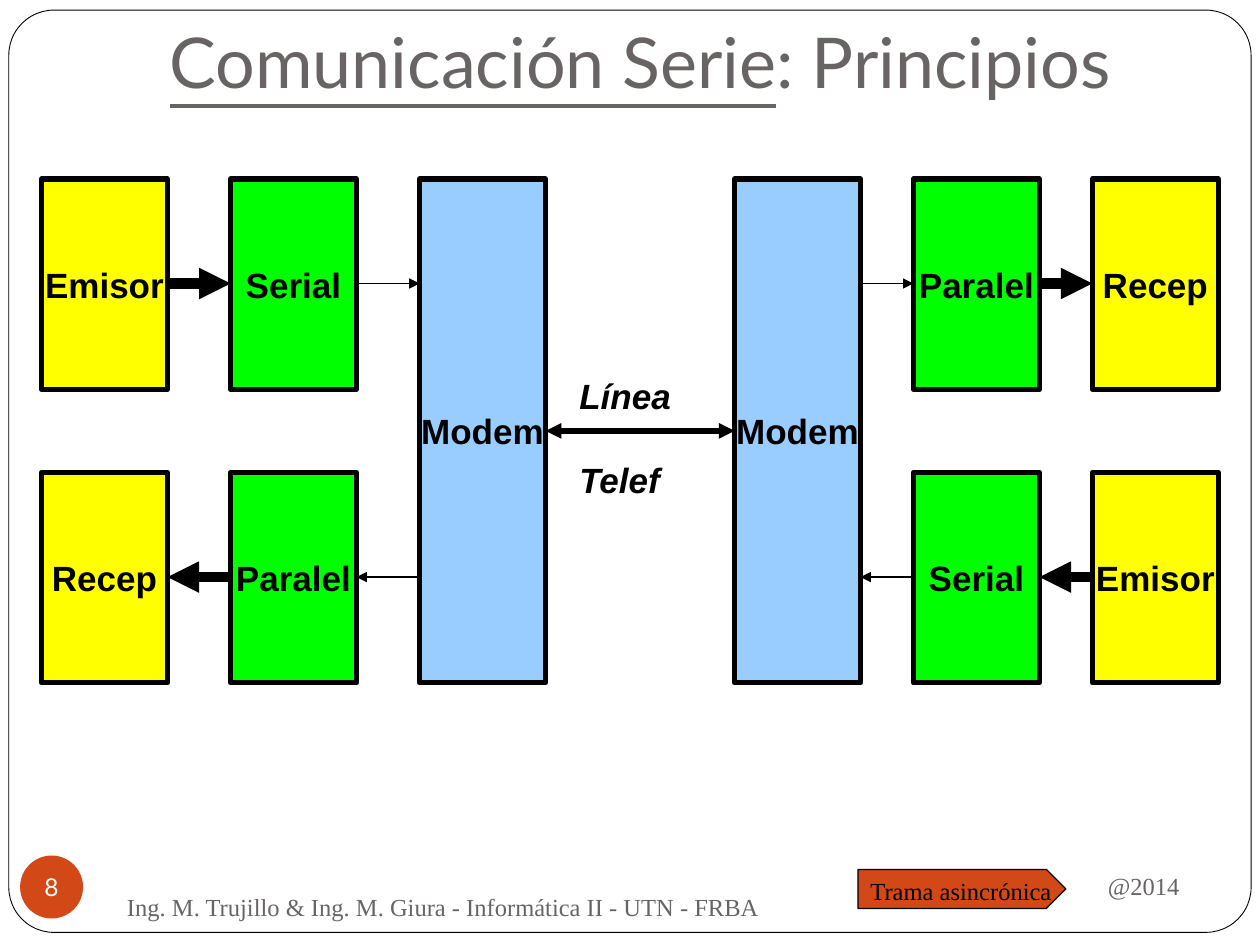
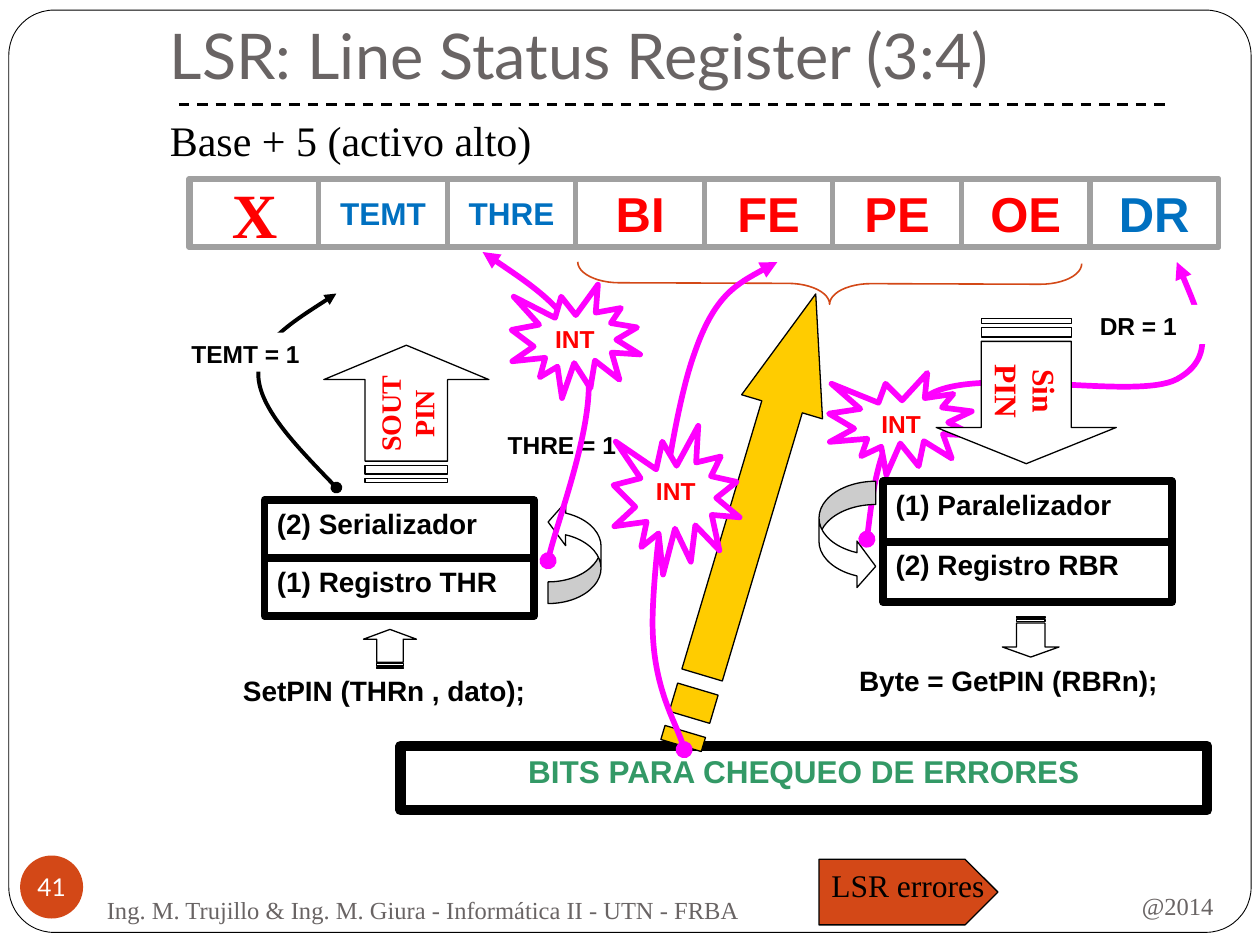
from dataclasses import dataclass
from typing import NamedTuple, Optional

from lxml import etree
from pptx import Presentation
from pptx.dml.color import RGBColor
from pptx.enum import dml, shapes, text
from pptx.oxml.ns import qn
from pptx.util import Inches, Pt

# Shared colours and fonts
BLACK = RGBColor(0x00, 0x00, 0x00)
WHITE = RGBColor(0xFF, 0xFF, 0xFF)
GREY = RGBColor(0x69, 0x64, 0x64)
FRAME_GREY = RGBColor(0xA0, 0xA0, 0xA0)
RUST = RGBColor(0xD3, 0x48, 0x17)
YELLOW = RGBColor(0xFF, 0xFF, 0x00)
GREEN = RGBColor(0x00, 0xFF, 0x00)
SKY = RGBColor(0x99, 0xCC, 0xFF)
RED = RGBColor(0xFF, 0x00, 0x00)
BLUE = RGBColor(0x00, 0x70, 0xC0)
MAGENTA = RGBColor(0xFF, 0x00, 0xFF)
GOLD = RGBColor(0xFF, 0xCC, 0x00)
TEAL = RGBColor(0x33, 0x99, 0x66)
SERIF, SANS, TITLE = "Times New Roman", "Arial", "Lato"

SHAPE = shapes.MSO_SHAPE
LEFT, CENTER, RIGHT = (text.PP_ALIGN.LEFT, text.PP_ALIGN.CENTER,
                       text.PP_ALIGN.RIGHT)
TOP, MIDDLE, BOTTOM = (text.MSO_ANCHOR.TOP, text.MSO_ANCHOR.MIDDLE,
                       text.MSO_ANCHOR.BOTTOM)


class Box(NamedTuple):
    x: float
    y: float
    w: float
    h: float

    def emu(self):
        return [Inches(v) for v in self]


@dataclass
class Look:
    """Text format: font, colour and placement."""
    size: float
    name: str = SANS
    color: RGBColor = BLACK
    bold: bool = False
    italic: bool = False
    align: int = LEFT
    anchor: int = TOP
    wrap: bool = True
    insets: tuple = (0.1, 0.05, 0.1, 0.05)
    gap: float = 0


class Paint(NamedTuple):
    fill: Optional[RGBColor] = None
    line: Optional[RGBColor] = None
    width: float = 0.75


def style_run(r, look: Look, **extra):
    fmt = {"size": Pt(look.size), "name": look.name, "bold": look.bold,
           "italic": look.italic, **extra}
    for key, value in fmt.items():
        setattr(r.font, key, value)
    r.font.color.rgb = look.color


def write(sp, lines, look: Look):
    tf = sp.text_frame
    sides = ("left", "top", "right", "bottom")
    fmt = {f"margin_{k}": Inches(v) for k, v in zip(sides, look.insets)}
    fmt |= {"word_wrap": look.wrap, "vertical_anchor": look.anchor}
    for key, value in fmt.items():
        setattr(tf, key, value)
    for i, line in enumerate(lines):
        p = tf.add_paragraph() if i else tf.paragraphs[0]
        p.alignment = look.align
        if i and look.gap:
            p.space_before = Pt(look.gap)
        r = p.add_run()
        r.text = line
        style_run(r, look)


def paint(sp, style: Paint):
    sp.shadow.inherit = False
    if style.fill is None:
        sp.fill.background()
    else:
        sp.fill.solid()
        sp.fill.fore_color.rgb = style.fill
    if style.line is None:
        sp.line.fill.background()
    else:
        sp.line.color.rgb = style.line
        sp.line.width = Pt(style.width)


def add_text(s, box: Box, look: Look, *lines: str):
    sp = s.shapes.add_textbox(*box.emu())
    write(sp, lines, look)
    return sp


def add_preset(s, kind, box: Box, style: Paint, look: Optional[Look] = None,
               *lines: str, adj=(), rotation=0.0):
    sp = s.shapes.add_shape(kind, *box.emu())
    paint(sp, style)
    sp.rotation = rotation
    for i, value in enumerate(adj):
        sp.adjustments[i] = value
    if look:
        write(sp, lines, look)
    return sp


def add_ends(sp, head=None, tail=None):
    ln = sp._element.spPr.find(qn("a:ln"))
    for tag, kind in (("a:headEnd", head), ("a:tailEnd", tail)):
        if kind:
            etree.SubElement(ln, qn(tag)).set("type", kind)


def add_line(s, x1: float, x2: float, y: float, width: float, head=None,
             tail=None, dash=None):
    sp = s.shapes.add_connector(shapes.MSO_CONNECTOR.STRAIGHT, Inches(x1),
                                Inches(y), Inches(x2), Inches(y))
    sp.line.color.rgb = BLACK
    sp.line.width = Pt(width)
    if dash:
        sp.line.dash_style = dash
    add_ends(sp, head, tail)
    etree.SubElement(sp._element.spPr, qn("a:effectLst"))


def add_outline(s, contours, closed: bool):
    """Freeform through one or more contours given in inches."""
    emu = [[(Inches(x), Inches(y)) for x, y in c] for c in contours]
    fb = s.shapes.build_freeform(*emu[0][0])
    for i, points in enumerate(emu):
        if i:
            fb.move_to(*points[0])
        fb.add_line_segments(points[1:], close=closed)
    return fb.convert_to_shape()


def add_curve(s, points, color: RGBColor, width: float):
    """Bezier from a start point plus three points per segment."""
    sp = add_outline(s, [points], closed=False)
    paint(sp, Paint(None, color, width))
    steps = list(sp._element.iter(qn("a:lnTo")))
    for i in range(0, len(steps), 3):
        curve = etree.Element(qn("a:cubicBezTo"))
        steps[i].addprevious(curve)
        for step in steps[i:i + 3]:
            curve.append(step[0])
            step.getparent().remove(step)
    add_ends(sp, "triangle", "oval")


def add_striped_arrow(s, box: Box, fill: RGBColor, rotation: float,
                      look: Optional[Look] = None, *lines: str):
    """Arrow with two tail stripes; it points right before rotation."""
    x, y, w, h = box
    at = lambda part: x + w * part / 32
    top, mid, low = y + h / 4, y + h / 2, y + h * 3 / 4
    neck = at(24)
    arrow = [(at(5), top), (neck, top), (neck, y), (x + w, mid),
             (neck, y + h), (neck, low), (at(5), low)]
    stripes = [[(at(a), top), (at(b), top), (at(b), low), (at(a), low)]
               for a, b in ((2, 4), (0, 1))]
    sp = add_outline(s, [arrow, *stripes], closed=True)
    paint(sp, Paint(fill, BLACK))
    sp.rotation = rotation
    if look:
        write(sp, lines, look)


def add_base(prs, number: int, title, size: float, title_h: float,
             date: Box, footer: Box):
    """Blank slide with frame, title, footers and page number."""
    s = prs.slides.add_slide(prs.slide_layouts[6])
    add_preset(s, SHAPE.ROUNDED_RECTANGLE, Box(0.07, 0.08, 9.86, 7.32),
               Paint(WHITE, BLACK, 0.5), adj=[0.049])
    underlined, plain = title
    look = Look(size, TITLE, GREY, anchor=BOTTOM, insets=(0.1, 0.05, 0.1, 0.1))
    sp = add_text(s, Box(1.25, 0.08, 8.5, title_h), look)
    p = sp.text_frame.paragraphs[0]
    for words, line in ((underlined, True), (plain, False)):
        if words:
            r = p.add_run()
            r.text = words
            style_run(r, look, underline=line)
    add_text(s, date, Look(14, SERIF, GREY, align=RIGHT, anchor=MIDDLE),
             "@2014")
    add_text(s, footer, Look(14, SERIF, GREY, anchor=MIDDLE),
             "Ing. M. Trujillo & Ing. M. Giura - Informática II - UTN - FRBA")
    add_preset(s, SHAPE.OVAL, Box(0.16, 6.79, 0.5, 0.5), Paint(RUST),
               Look(14, TITLE, WHITE, align=CENTER, anchor=MIDDLE, wrap=False,
                    insets=(0, 0, 0, 0)), str(number))
    return s


def add_tag(s, box: Box, size: float, label: str):
    add_preset(s, SHAPE.PENTAGON, box, Paint(RUST, BLACK),
               Look(size, SERIF, wrap=False), label, adj=[0.5])


def build_serial(prs):
    s = add_base(prs, 8, ("Comunicación Serie", ": Principios"), 40, 0.83,
                 Box(6.75, 6.77, 2.71, 0.52), Box(0.91, 6.95, 5.57, 0.5))
    look = Look(20, bold=True, align=CENTER, anchor=MIDDLE, wrap=False)
    top, bottom, unit_h = 1.42, 3.75, 1.67

    # Blocks: column, fill, upper label, lower label
    columns = ((0.33, YELLOW, "Emisor", "Recep"),
               (1.83, GREEN, "Serial", "Paralel"),
               (7.25, GREEN, "Paralel", "Serial"),
               (8.67, YELLOW, "Recep", "Emisor"))
    for x, fill, *labels in columns:
        for y, label in zip((top, bottom), labels):
            add_preset(s, SHAPE.RECTANGLE, Box(x, y, 1, unit_h),
                       Paint(fill, BLACK, 3), look, label)
    for x in (3.33, 5.83):
        add_preset(s, SHAPE.RECTANGLE, Box(x, top, 1, 4),
                   Paint(SKY, BLACK, 3), look, "Modem")

    # Links: upper row runs right, lower row runs left
    for x1, x2, width in ((1.33, 1.83, 6), (2.83, 3.33, 1),
                          (6.83, 7.25, 0.75), (8.25, 8.67, 6)):
        add_line(s, x1, x2, 2.25, width, tail="triangle")
        add_line(s, x1, x2, 4.58, width, head="triangle")
    add_line(s, 4.33, 5.83, 3.42, 3, head="triangle", tail="triangle")
    add_text(s, Box(4.5, 2.92, 0.93, 1.1),
             Look(20, bold=True, italic=True, wrap=False, gap=24),
             "Línea", "Telef")
    add_tag(s, Box(6.81, 6.9, 1.65, 0.31), 14, "Trama asincrónica")


def add_interrupt(s, box: Box):
    add_preset(s, SHAPE.EXPLOSION1, box, Paint(WHITE, MAGENTA, 3.25),
               Look(14, color=RED, bold=True, align=CENTER), "INT")


def add_registers(s, x: float, y: float, w: float, h: float, *labels: str):
    for i, label in enumerate(labels):
        add_preset(s, SHAPE.RECTANGLE, Box(x, y + i * h, w, h),
                   Paint(WHITE, BLACK, 4.5), Look(16, bold=True), label)


def build_lsr(prs):
    s = add_base(prs, 41, ("", "LSR: Line Status Register (3:4)"), 36, 0.75,
                 Box(7.02, 6.93, 2.71, 0.52), Box(0.75, 6.99, 5.34, 0.46))
    code = Look(16, bold=True)
    note = Look(14, bold=True)
    pin = Look(18, SERIF, RED, bold=True, align=CENTER, anchor=MIDDLE)
    add_text(s, Box(1.25, 0.86, 7.83, 0.5), Look(24, SERIF),
             "Base + 5 (activo alto)")

    # Receiver side
    add_curve(s, [(9.34, 2.08), (9.5, 2.46), (9.67, 2.83), (9.34, 3.01),
                  (9.02, 3.18), (7.81, 2.91), (7.4, 3.12),
                  (6.99, 3.34), (6.94, 3.81), (6.88, 4.28)], MAGENTA, 3.25)
    add_interrupt(s, Box(6.58, 2.96, 1.16, 0.81))
    add_text(s, Box(6.72, 5.22, 2.91, 0.54), code, "Byte = GetPIN (RBRn);")
    add_registers(s, 7.01, 3.82, 2.29, 0.48,
                  "(1) Paralelizador", "(2) Registro RBR")
    add_preset(s, SHAPE.CURVED_RIGHT_ARROW, Box(6.5, 3.82, 0.45, 0.86),
               Paint(WHITE, BLACK), adj=(0.41, 0.82, 0.33))
    add_striped_arrow(s, Box(8.02, 4.83, 0.32, 0.45), WHITE, 90)
    add_striped_arrow(s, Box(7.57, 2.39, 1.15, 1.43), WHITE, 90, pin,
                      "Sin", "PIN")

    # Transmitter side
    add_text(s, Box(1.83, 5.3, 2.62, 0.51), code, "SetPIN (THRn , dato);")
    add_registers(s, 2.1, 3.97, 2.14, 0.46,
                  "(2) Serializador", "(1) Registro THR")
    add_striped_arrow(s, Box(2.94, 4.94, 0.31, 0.42), WHITE, 270)
    pin.size = 16
    add_striped_arrow(s, Box(2.68, 2.63, 1.09, 1.31), WHITE, 270, pin,
                      "SOUT PIN")
    add_preset(s, SHAPE.CURVED_RIGHT_ARROW, Box(4.35, 3.97, 0.42, 0.82),
               Paint(WHITE, BLACK), adj=(0.41, 0.82, 0.33), rotation=180)
    add_curve(s, [(2.67, 2.33), (2.36, 2.53), (2.05, 2.72), (2.05, 2.97),
                  (2.05, 3.23), (2.36, 3.55), (2.67, 3.87)], BLACK, 2.25)
    for x, y, w, label in ((8.63, 2.42, 1.12, "DR = 1"),
                           (1.42, 2.64, 1.15, "TEMT = 1"),
                           (3.93, 3.36, 1.15, "THRE = 1")):
        add_preset(s, SHAPE.RECTANGLE, Box(x, y, w, 0.31), Paint(WHITE), note,
                   label)

    # Error bits
    add_preset(s, SHAPE.RECTANGLE, Box(3.18, 5.92, 6.4, 0.51),
               Paint(WHITE, BLACK, 6),
               Look(18, color=TEAL, bold=True, align=CENTER),
               "BITS PARA CHEQUEO DE ERRORES")
    add_preset(s, SHAPE.LEFT_BRACE, Box(6.42, 0.25, 0.33, 4),
               Paint(None, RUST, 0.9), adj=(1, 0.5), rotation=270.2)
    add_striped_arrow(s, Box(4.07, 3.79, 3.74, 0.67), GOLD, 286.6)
    add_curve(s, [(6.17, 2.08), (5.92, 2.21), (5.67, 2.34), (5.51, 2.81),
                  (5.34, 3.28), (5.19, 4.38), (5.18, 4.9),
                  (5.17, 5.43), (5.39, 5.77), (5.43, 5.95)], MAGENTA, 3.25)
    add_interrupt(s, Box(4.87, 3.38, 1, 1.18))
    add_curve(s, [(3.83, 2), (4.2, 2.25), (4.57, 2.49), (4.66, 2.9),
                  (4.74, 3.31), (4.4, 4.19), (4.35, 4.45)], MAGENTA, 3.25)
    add_interrupt(s, Box(4.06, 2.26, 1.02, 0.9))
    add_line(s, 1.42, 9.25, 0.83, 1.5, dash=dml.MSO_LINE.DASH)
    add_tag(s, Box(6.5, 6.82, 1.42, 0.52), 18, "LSR errores")

    # Register bits
    bits = (("X", 36, SERIF, RED), ("TEMT", 18, SANS, BLUE),
            ("THRE", 18, SANS, BLUE), ("BI", 28, SANS, RED),
            ("FE", 28, SANS, RED), ("PE", 28, SANS, RED),
            ("OE", 28, SANS, RED), ("DR", 28, SANS, BLUE))
    border = Paint(None, FRAME_GREY, 3)
    for i, (label, size, font, color) in enumerate(bits):
        add_preset(s, SHAPE.RECTANGLE, Box(1.51 + 1.02 * i, 1.42, 1.02, 0.54),
                   border, Look(size, font, color, bold=True, align=CENTER,
                                anchor=MIDDLE), label)
    add_preset(s, SHAPE.RECTANGLE, Box(1.5, 1.42, 8.17, 0.54), border)


def main():
    prs = Presentation()
    prs.slide_width, prs.slide_height = Inches(10), Inches(7.5)
    build_serial(prs)
    build_lsr(prs)
    prs.save("out.pptx")


if __name__ == "__main__":
    main()
